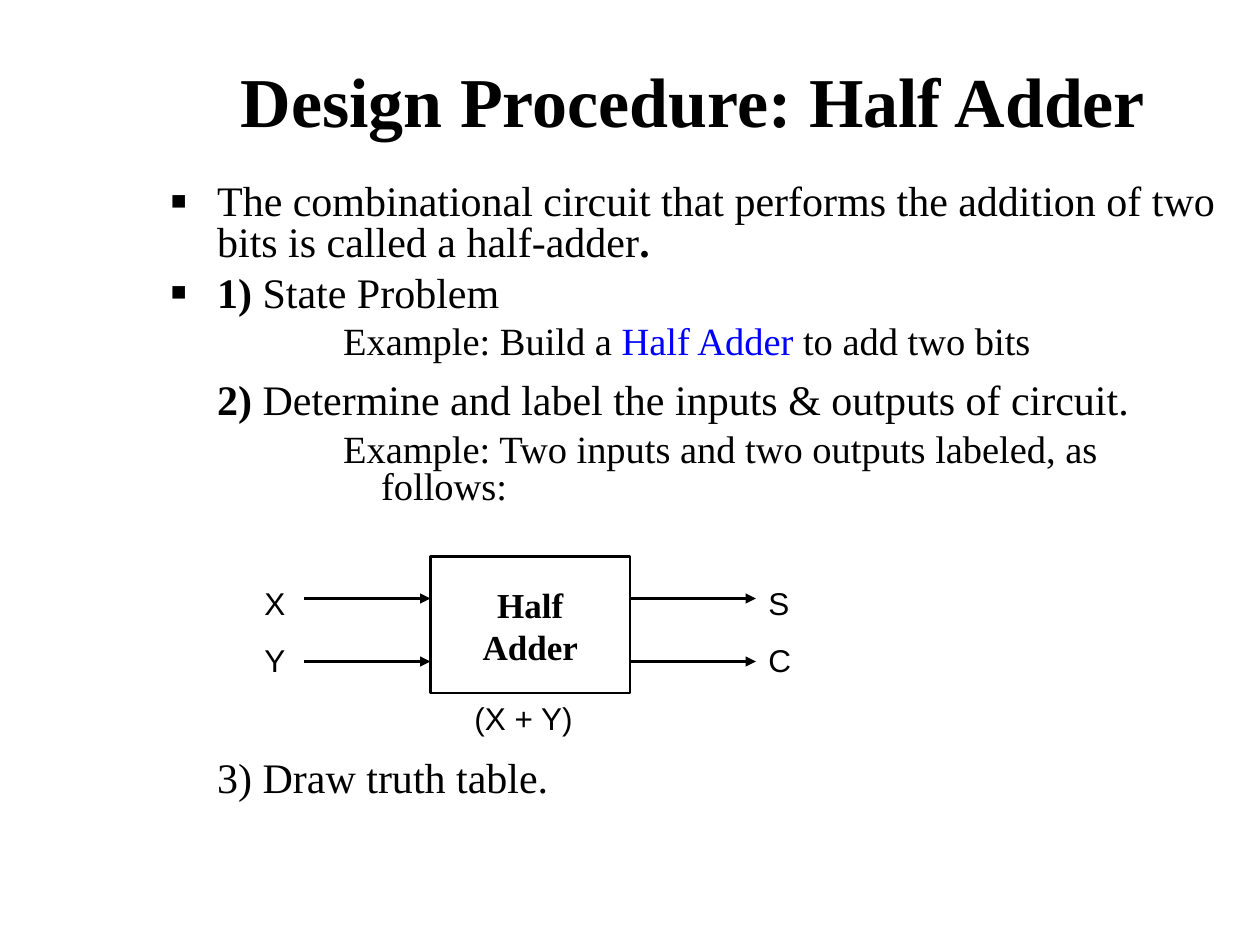
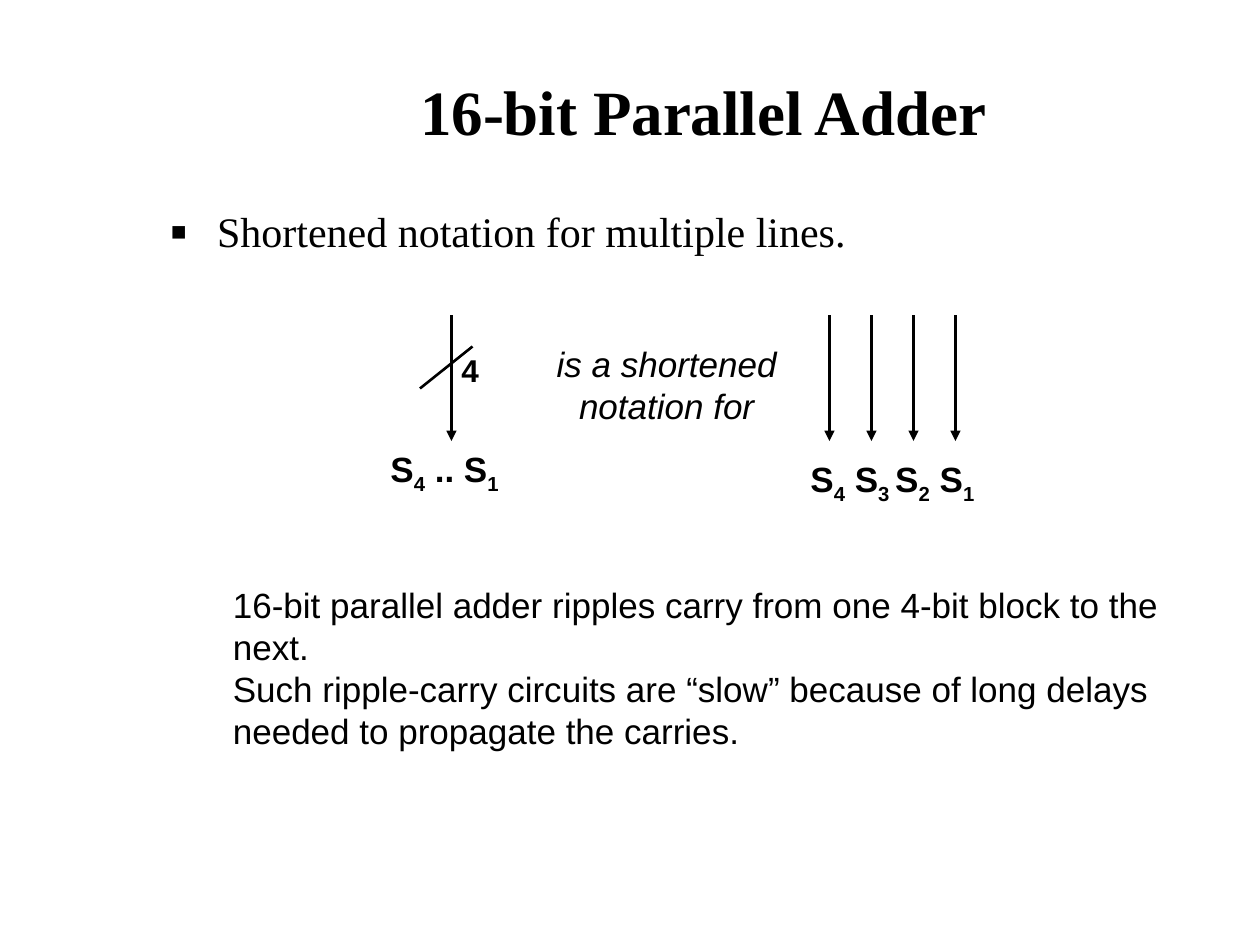
from dataclasses import dataclass

from lxml.etree import SubElement
from pptx import Presentation
from pptx.dml.color import RGBColor
from pptx.enum.shapes import MSO_CONNECTOR as Connector, MSO_SHAPE as Preset
from pptx.enum.text import MSO_ANCHOR as Anchor, PP_ALIGN as Align
from pptx.oxml.ns import qn
from pptx.util import Emu, Pt

COLORS = {"ink": "000000", "accent": "0000FF", "paper": "FFFFFF"}
SERIF, SANS = "Times New Roman", "Arial"
EMU_PER_PX = 9525  # 96 px to the inch
HANG = 36  # hanging indent of the bulleted text


@dataclass(frozen=True)
class Box:
    left: int
    top: int
    width: int
    height: int


@dataclass(frozen=True)
class Piece:
    """A stretch of text that may depart from its paragraph's style."""
    text: str
    bold: bool = False
    color: str = "ink"
    subscript: bool = False


@dataclass(frozen=True)
class Style:
    font: str
    size: float
    bold: bool = False
    italic: bool = False
    align: Align = Align.LEFT
    before: float = 0
    line_spacing: float = 1.0
    margin: int = 0
    hang: int = 0
    bullet: bool = False


@dataclass(frozen=True)
class Line:
    start: tuple[int, int]
    end: tuple[int, int]
    width: float = 1.5
    arrow: bool = True


# Text styles
BULLET = Style(SERIF, 24, before=6, margin=HANG, hang=HANG, bullet=True)
TIGHT_BULLET = Style(SERIF, 24, before=6, line_spacing=0.8,
                     margin=HANG, hang=HANG, bullet=True)
TIGHT_STEP = Style(SERIF, 24, before=12, line_spacing=0.8, margin=HANG)
STEP = Style(SERIF, 24, before=12, margin=HANG)
EXAMPLE = Style(SERIF, 22, before=5.5, line_spacing=0.8,
                margin=HANG + 125, hang=29)
BLOCK_NAME = Style(SERIF, 20, bold=True, align=Align.CENTER)
SIGNAL = Style(SANS, 18, before=11.2)
BUS_WIDTH = Style(SANS, 18, bold=True, before=11.2)
BUS_NAME = Style(SANS, 20, bold=True, before=12.5)
REMARK = Style(SANS, 20, italic=True, align=Align.CENTER, before=12.5)
NOTE = Style(SANS, 20)


def px(length: int) -> Emu:
    return Emu(length * EMU_PER_PX)


def rgb(name: str) -> RGBColor:
    return RGBColor.from_string(COLORS[name])


def add_bullet(paragraph) -> None:
    properties = paragraph._p.get_or_add_pPr()
    color = SubElement(properties, qn("a:buClr"))
    SubElement(color, qn("a:srgbClr"), val=COLORS["ink"])
    SubElement(properties, qn("a:buSzPct"), val="120000")
    SubElement(properties, qn("a:buFont"), typeface=SANS)
    SubElement(properties, qn("a:buChar"), char="▪")


def fill_paragraph(paragraph, style: Style, pieces: list[Piece]) -> None:
    paragraph.alignment = style.align
    paragraph.space_before = Pt(style.before)
    paragraph.line_spacing = style.line_spacing
    properties = paragraph._p.get_or_add_pPr()
    properties.set("marL", str(px(style.margin)))
    properties.set("indent", str(px(-style.hang)))
    if style.bullet:
        add_bullet(paragraph)
    for piece in pieces:
        run = paragraph.add_run()
        run.text = piece.text
        font = run.font
        font.name, font.size = style.font, Pt(style.size)
        font.bold = style.bold or piece.bold
        font.italic = style.italic
        font.color.rgb = rgb(piece.color)
        if piece.subscript:
            run._r.get_or_add_rPr().set("baseline", "-25000")


def add_text(shapes, box: Box, *paragraphs: tuple[Style, list[Piece]],
             anchor: Anchor = Anchor.TOP) -> None:
    shape = shapes.add_textbox(px(box.left), px(box.top),
                               px(box.width), px(box.height))
    frame = shape.text_frame
    frame.word_wrap = True
    frame.vertical_anchor = anchor
    for index, (style, pieces) in enumerate(paragraphs):
        paragraph = frame.add_paragraph() if index else frame.paragraphs[0]
        fill_paragraph(paragraph, style, pieces)


def add_plain_text(shapes, box: Box, style: Style, *texts: str) -> None:
    add_text(shapes, box, *((style, [Piece(text)]) for text in texts))


def add_line(shapes, line: Line) -> None:
    connector = shapes.add_connector(
        Connector.STRAIGHT, *(px(value) for value in line.start + line.end))
    connector.line.color.rgb = rgb("ink")
    connector.line.width = Pt(line.width)
    if line.arrow:
        SubElement(connector.line._get_or_add_ln(), qn("a:tailEnd"), type="triangle")
    SubElement(connector._element.spPr, qn("a:effectLst"))


def add_titled_slide(presentation, title: str, size: int, left: int, top: int):
    slide = presentation.slides.add_slide(presentation.slide_layouts[6])
    slide.background.fill.solid()
    slide.background.fill.fore_color.rgb = rgb("paper")
    style = Style(SERIF, size, bold=True, align=Align.CENTER)
    add_text(slide.shapes, Box(left, top, 816, 120),
             (style, [Piece(title)]), anchor=Anchor.MIDDLE)
    return slide


def indexed(text: str, index: str) -> list[Piece]:
    return [Piece(text), Piece(index, subscript=True)]


def draw_half_adder(shapes) -> None:
    block = shapes.add_shape(Preset.RECTANGLE, px(328), px(424), px(152), px(104))
    block.shadow.inherit = False
    block.fill.background()
    block.line.color.rgb = rgb("ink")
    block.line.width = Pt(1.5)
    add_plain_text(shapes, Box(344, 440, 120, 74), BLOCK_NAME, "Half", "Adder")
    # Inputs end at the block, outputs start from it
    for left in (232, 480):
        for y in (456, 504):
            add_line(shapes, Line((left, y), (left + 96, y), width=1.25))
    for left, names in ((192, "XY"), (576, "SC")):
        add_plain_text(shapes, Box(left, 440, 40, 83), SIGNAL, *names)
    add_plain_text(shapes, Box(352, 528, 96, 38), SIGNAL, "(X + Y)")


def build_half_adder_slide(presentation) -> None:
    slide = add_titled_slide(presentation, "Design Procedure: Half Adder", 40, 120, 16)
    add_text(
        slide.shapes, Box(120, 136, 816, 264),
        (TIGHT_BULLET, [Piece("The combinational circuit that performs the addition "
                              "of two bits is called a half-adder"),
                        Piece(".", bold=True)]),
        (TIGHT_BULLET, [Piece("1)", bold=True), Piece(" State Problem")]),
        (EXAMPLE, [Piece("Example: Build a "), Piece("Half Adder", color="accent"),
                   Piece(" to add two bits")]),
        (TIGHT_STEP, [Piece("2)", bold=True),
                      Piece(" Determine and label the inputs & outputs of circuit.")]),
        (EXAMPLE, [Piece("Example: Two inputs and two outputs labeled, as follows:")]),
    )
    draw_half_adder(slide.shapes.add_group_shape().shapes)
    add_plain_text(slide.shapes, Box(120, 568, 384, 48), STEP, "3) Draw truth table.")


def build_parallel_adder_slide(presentation) -> None:
    slide = add_titled_slide(presentation, "16-bit Parallel Adder", 36, 128, 24)
    shapes = slide.shapes
    add_plain_text(shapes, Box(120, 152, 816, 56), BULLET,
                   "Shortened notation for multiple lines.")
    add_plain_text(shapes, Box(168, 440, 768, 136), NOTE,
                   "16-bit parallel adder ripples carry from one 4-bit block to the next.",
                   "Such ripple-carry circuits are “slow” because of long delays "
                   "needed to propagate the carries.")

    # One bus arrow, then the four wires it stands for
    for x in (344, *range(632, 729, 32)):
        add_line(shapes, Line((x, 240), (x, 336)))
    add_line(shapes, Line((360, 264), (320, 296), arrow=False))

    # Labels
    add_plain_text(shapes, Box(342, 263, 32, 38), BUS_WIDTH, "4")
    add_text(shapes, Box(288, 336, 120, 46),
             (BUS_NAME, indexed("S", "4") + indexed(" .. S", "1")))
    add_text(shapes, Box(608, 344, 152, 46),
             (BUS_NAME, indexed("S", "4") + indexed(" S", "3 ")
              + indexed("S", "2") + indexed(" S", "1")))
    add_plain_text(shapes, Box(408, 256, 200, 74), REMARK,
                   "is a shortened notation for")


def main() -> None:
    presentation = Presentation()
    presentation.slide_width, presentation.slide_height = px(960), px(720)
    build_half_adder_slide(presentation)
    build_parallel_adder_slide(presentation)
    presentation.save("out.pptx")


if __name__ == "__main__":
    main()
